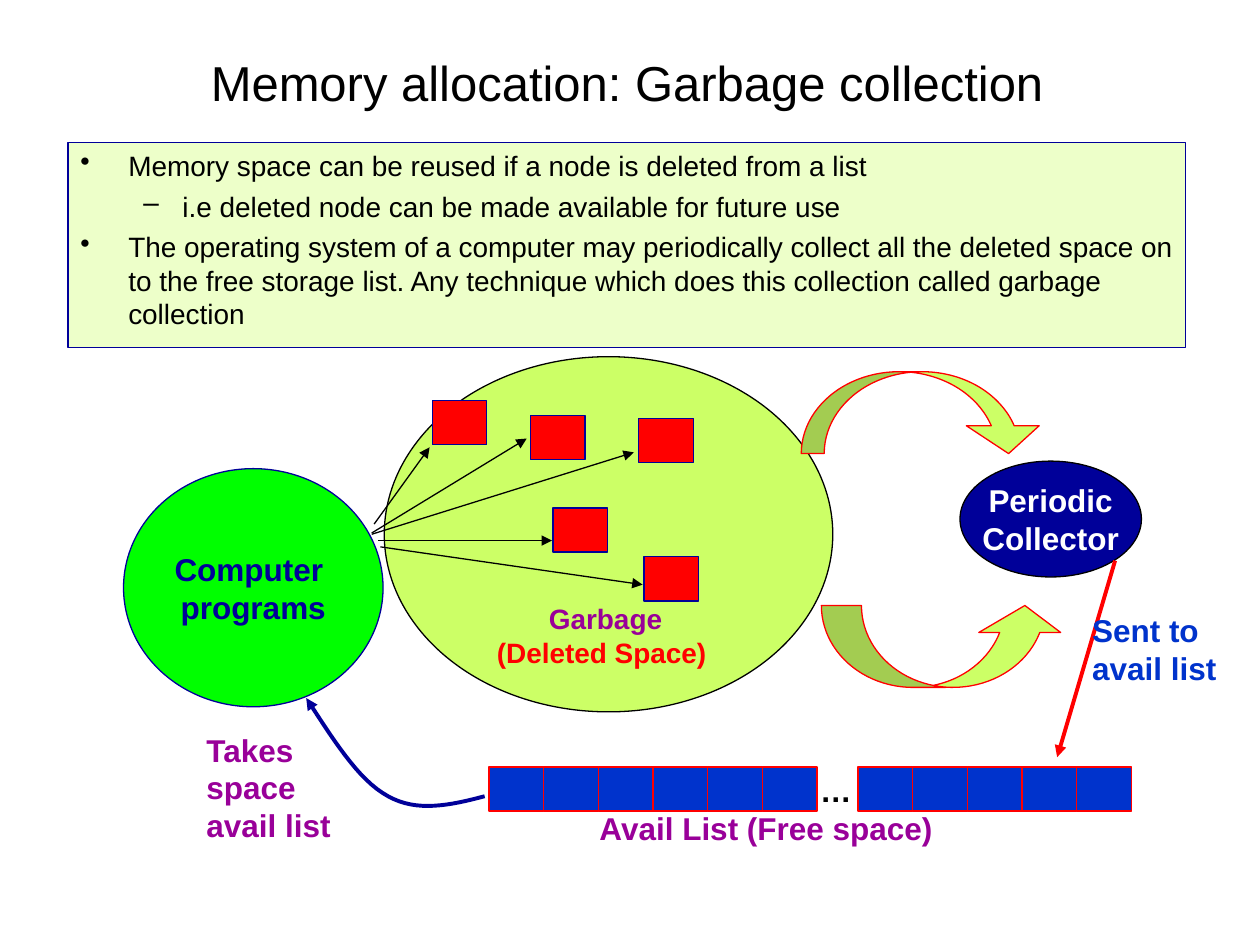
from pptx import Presentation
from pptx.dml.color import RGBColor
from pptx.enum import shapes, text
from pptx.oxml.ns import qn
from pptx.util import Pt
from lxml import etree

C = dict(black="000000", white="FFFFFF", navy="000099", blue="0033CC", purple="990099",
         red="FF0000", green="00FF00", lime="CCFF66", pale="EDFFC9")
THIN, THICK = 0.74, 2.24
M, A = shapes.MSO_SHAPE, text.PP_ALIGN
MID, TOP = text.MSO_ANCHOR.MIDDLE, text.MSO_ANCHOR.TOP

TITLE = "Memory allocation: Garbage collection"
BULLETS = [
    (0, "Memory space can be reused if a node is deleted from a list"),
    (1, "i.e deleted node can be made available for future use"),
    (0, "The operating system of a computer may periodically collect all the deleted space on "
        "to the free storage list. Any technique which does this collection called garbage collection"),
]
BULLET_STYLE = [("•", 27.36, -27.36), ("–", 58.32, -22.32)]
LABELS = [
    ("Sent to avail list", "blue", (617, 345.6, 103.7, 50.4)),
    ("…", "black", (461.5, 437, 26, 28.8)),
    ("Avail List (Free space)", "purple", (335.5, 458.6, 275.8, 28.8)),
    ("Takes space avail list", "purple", (110.9, 414, 103.7, 72)),
]
CELL = (31.25, 25.2)
FREE_RUNS = [(279.4, 6), (490.3, 5)]
FREE_TOP = 438.2
DELETED = [(303.1, 237.6), (316.1, 290.2), (365, 239), (368, 318.2), (247, 229)]
POINTERS = [
    ((213.8, 299.5), (245.5, 255.6)),
    ((212.4, 304.6), (301, 250.6)),
    ((212.4, 305.3), (362.2, 258.5)),
    ((216, 308.9), (315.4, 308.9)),
    ((217.4, 312.5), (367.2, 334.1)),
]
SWEEPS = [
    (M.CURVED_DOWN_ARROW, (457.9, 212.4, 139.3, 46.8), (0.28, 0.89, 0.34)),
    (M.CURVED_UP_ARROW, (469.4, 346, 139.7, 46.8), (0.49, 1.0, 0.33)),
]
TAKE_CURVE = [
    [(277, 455), (257.8, 460.1), (238.3, 464.4), (221.8, 455)],
    [(221.8, 455), (204.5, 445.7), (190.1, 421.9), (175, 398.9)],
]

prs = Presentation()
prs.slide_width, prs.slide_height = Pt(720), Pt(540)
s = prs.slides.add_slide(prs.slide_layouts[6])


def rgb(name):
    return RGBColor.from_string(C[name])


def write(sp, *lines, size=18, color="black", bold=True, align=A.CENTER, anchor=MID, wrap=True):
    tf = sp.text_frame
    tf.word_wrap, tf.vertical_anchor = wrap, anchor
    tf.margin_left = tf.margin_right = Pt(7.2)
    tf.margin_top = tf.margin_bottom = Pt(3.6)
    for i, line in enumerate(lines):
        p = tf.paragraphs[0] if i == 0 else tf.add_paragraph()
        p.alignment = align
        r = p.add_run()
        r.text = line
        r.font.name, r.font.size, r.font.bold = "Arial", Pt(size), bold
        r.font.color.rgb = rgb(color)
    return tf


def box(*rect):
    return s.shapes.add_textbox(*map(Pt, rect))


def shape(kind, rect, fill, line):
    sp = s.shapes.add_shape(kind, *map(Pt, rect))
    sp.shadow.inherit = False
    sp.fill.solid()
    sp.fill.fore_color.rgb = rgb(fill)
    sp.line.color.rgb = rgb(line)
    sp.line.width = Pt(THIN)
    return sp


def arrowhead(sp, color, width):
    sp.line.color.rgb = rgb(color)
    sp.line.width = Pt(width)
    etree.SubElement(sp.line._get_or_add_ln(), qn("a:tailEnd"), type="triangle")


def arrow(start, end, color="black", width=THIN):
    sp = s.shapes.add_connector(shapes.MSO_CONNECTOR.STRAIGHT, *map(Pt, start + end))
    arrowhead(sp, color, width)
    etree.SubElement(sp._element.spPr, qn("a:effectLst"))


def bezier(points, steps=16):
    for i in range(1, steps + 1):
        t = i / steps
        weights = ((1 - t) ** 3, 3 * t * (1 - t) ** 2, 3 * t * t * (1 - t), t ** 3)
        yield tuple(Pt(sum(w * pt[k] for w, pt in zip(weights, points))) for k in (0, 1))


write(box(36, 13, 644.4, 67.7), TITLE, size=28, bold=False)

panel = shape(M.RECTANGLE, (38.9, 81.4, 638.6, 117.4), "pale", "navy")
tf = write(panel, *[t for _, t in BULLETS], size=16, bold=False, align=A.LEFT, anchor=TOP)
for p, (level, _) in zip(tf.paragraphs, BULLETS):
    mark, left, hang = BULLET_STYLE[level]
    p.level, p.space_before = level, Pt(4)
    pPr = p._p.get_or_add_pPr()
    pPr.set("marL", str(Pt(left)))
    pPr.set("indent", str(Pt(hang)))
    etree.SubElement(pPr, qn("a:buChar"), char=mark)

shape(M.OVAL, (219.6, 203.8, 256.3, 203), "lime", "black")
garbage = write(box(255, 340.2, 182, 46), "Garbage", "(Deleted Space) ", size=16, color="purple", anchor=TOP)
garbage.paragraphs[1].runs[0].font.color.rgb = rgb("red")
programs = shape(M.OVAL, (70.6, 267.8, 148.3, 136.1), "green", "navy")
write(programs, "Computer ", "programs", color="navy", wrap=False)

for left, count in FREE_RUNS:
    for i in range(count):
        shape(M.RECTANGLE, (left + i * CELL[0], FREE_TOP, *CELL), "blue", "red")
for corner in DELETED:
    shape(M.RECTANGLE, (*corner, *CELL), "red", "navy")
for start, end in POINTERS:
    arrow(start, end)

collector = shape(M.OVAL, (548.6, 263.5, 103.7, 66.2), "navy", "black")
write(collector, "Periodic", "Collector", color="white", wrap=False)

start = TAKE_CURVE[0][0]
fb = s.shapes.build_freeform(Pt(start[0]), Pt(start[1]))
fb.add_line_segments([pt for part in TAKE_CURVE for pt in bezier(part)], close=False)
take = fb.convert_to_shape()
take.shadow.inherit = False
take.fill.background()
arrowhead(take, "navy", THICK)
arrow((637.2, 320.4), (604.1, 432.7), "red", THICK)

for kind, rect, adjustments in SWEEPS:
    sp = shape(kind, rect, "lime", "red")
    for i, value in enumerate(adjustments):
        sp.adjustments[i] = value
for label, color, rect in LABELS:
    write(box(*rect), label, color=color, align=A.LEFT, anchor=TOP)
prs.save("out.pptx")
